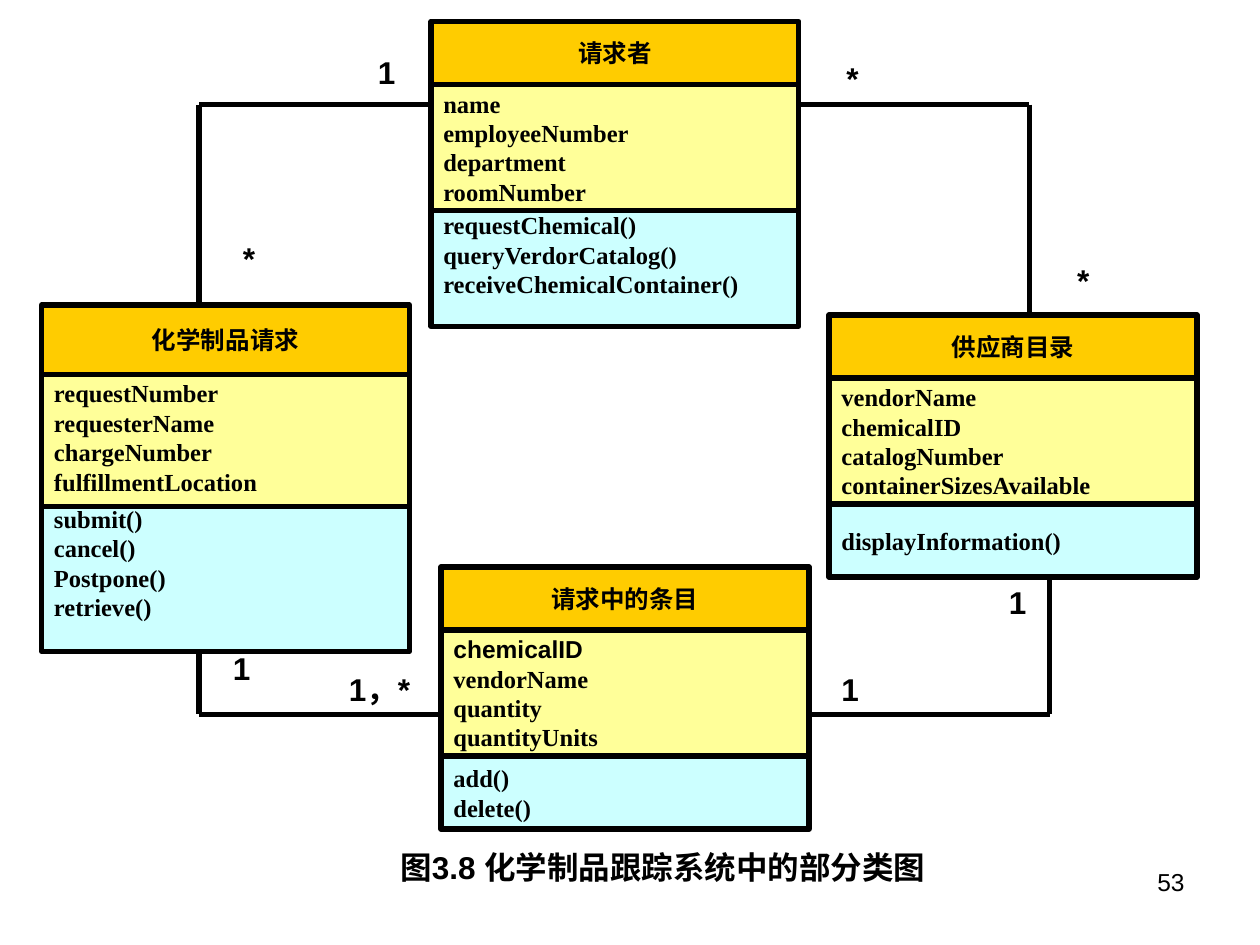
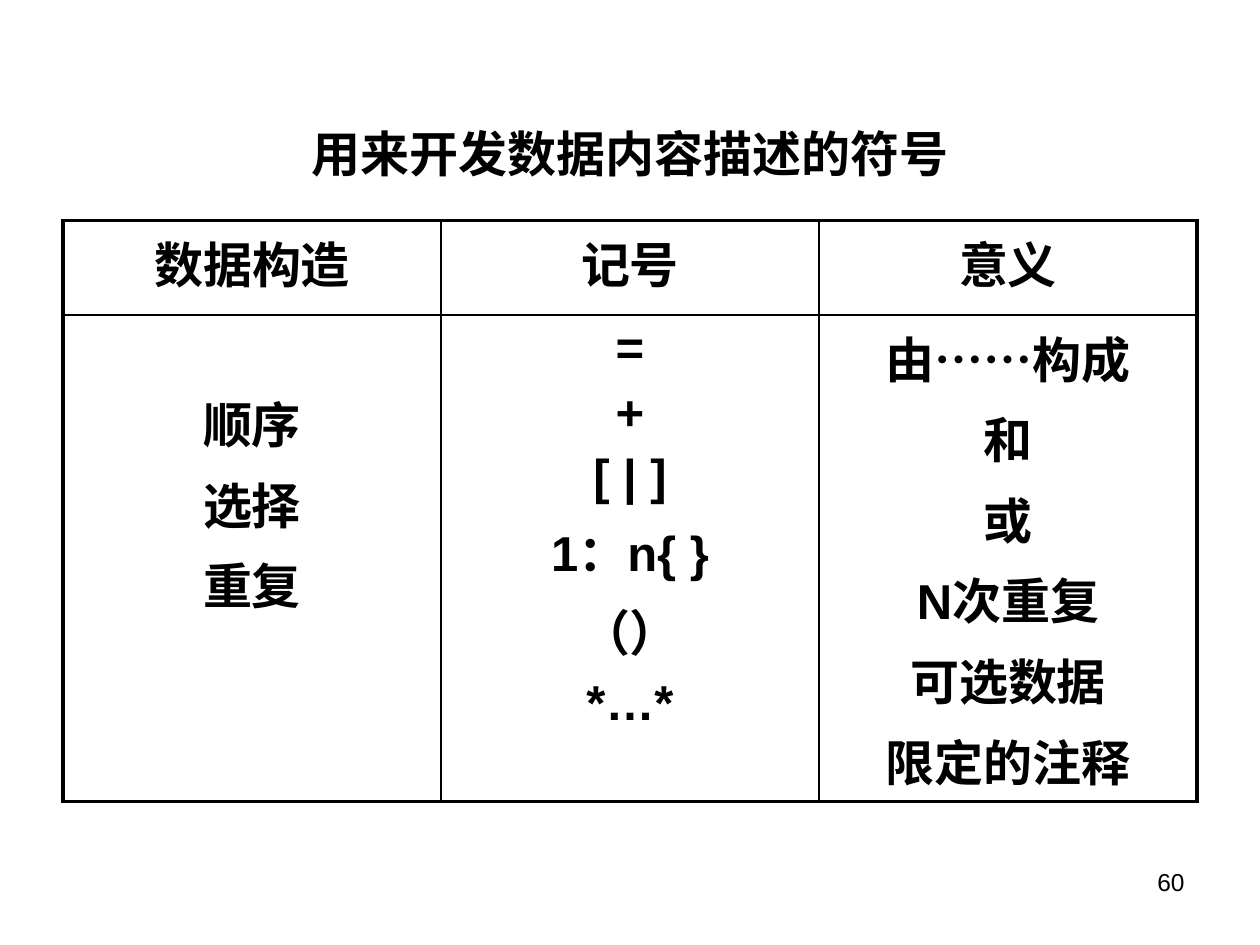
from itertools import pairwise

from lxml import etree
from pptx import Presentation
from pptx.dml.color import RGBColor
from pptx.enum.shapes import MSO_CONNECTOR, MSO_SHAPE
from pptx.enum.text import MSO_ANCHOR, PP_ALIGN
from pptx.oxml.ns import qn
from pptx.util import Inches, Pt

LINE, RECT = MSO_CONNECTOR.STRAIGHT, MSO_SHAPE.RECTANGLE
TOP, MIDDLE = MSO_ANCHOR.TOP, MSO_ANCHOR.MIDDLE
LEFT, CENTER, RIGHT = PP_ALIGN.LEFT, PP_ALIGN.CENTER, PP_ALIGN.RIGHT
SANS, SERIF = "Arial", "Times New Roman"
BLACK, WHITE = "000000", "FFFFFF"
GOLD, YELLOW, AQUA = "FFCC00", "FFFF99", "CCFFFF"
WIDE = 2.92
THICK, THIN = 2.25, 1

CLASSES = [
    (3.42, 0.17, (0.5, 1, 0.92), "请求者",
     ["name", "employeeNumber", "department", "roomNumber"],
     ["requestChemical()", "queryVerdorCatalog()", "receiveChemicalContainer()"], TOP),
    (6.58, 2.5, (0.5, 1, 0.58), "供应商目录",
     ["vendorName", "chemicalID", "catalogNumber", "containerSizesAvailable"],
     ["displayInformation()"], MIDDLE),
    (0.33, 2.42, (0.55, 1.1, 1.17), "化学制品请求",
     ["requestNumber", "requesterName", "chargeNumber", "fulfillmentLocation"],
     ["submit()", "cancel()", "Postpone()", "retrieve()"], TOP),
    (3.5, 4.5, (0.5, 1, 0.58), "请求中的条目",
     ["chemicalID", "vendorName", "quantity", "quantityUnits"],
     ["add()", "delete()"], MIDDLE),
]
LINKS = [
    [(3.42, 0.83), (1.58, 0.83), (1.58, 2.42)],
    [(1.58, 5.17), (1.58, 5.67), (3.5, 5.67)],
    [(6.33, 0.83), (8.17, 0.83), (8.17, 2.5)],
    [(6.42, 5.67), (8.33, 5.67), (8.33, 4.58)],
]
COUNTS = [
    ("1", 2.9, 0.37, 0.34), ("*", 1.83, 1.85, 0.3), ("*", 8.45, 2.02, 0.3),
    ("*", 6.62, 0.42, 0.3), ("1", 6.58, 5.27, 0.34), ("1", 7.91, 4.58, 0.34),
    ("1，*", 2.67, 5.27, 0.69), ("1", 1.75, 5.1, 0.34),
]
SYMBOLS = [
    ["数据构造", "记号", "意义"],
    ["顺序\n选择\n重复", "=\n+\n[ | ]\n1：n{ }\n（）\n*…*",
     "由……构成\n和\n或\nN次重复\n可选数据\n限定的注释"],
]


def paint(item, code):
    """Give a fill, line or font a solid colour."""
    if hasattr(item, "solid"):
        item.solid()
        item = item.fore_color
    else:
        item = item.color
    item.rgb = RGBColor.from_string(code)


def write(frame, text, size, face=SANS, bold=True, align=LEFT, gap=0):
    """Fill a text frame and format its runs."""
    frame.text = text
    frame.word_wrap = True
    for para in frame.paragraphs:
        para.alignment = align
        para.space_before = Pt(gap)
        for run in para.runs:
            run.font.size, run.font.name, run.font.bold = Pt(size), face, bold
            paint(run.font, BLACK)


def label(slide, text, box, size=18, **style):
    """Place a text box."""
    frame = slide.shapes.add_textbox(*map(Inches, box)).text_frame
    write(frame, text, size, **style)


def number(slide, text):
    """Place the page number."""
    label(slide, text, (7.17, 6.83, 2.33, 0.52), 14, bold=False, align=RIGHT)


def part(group, box, text, fill, align=LEFT, anchor=MIDDLE):
    """Draw one compartment of a class box."""
    shape = group.shapes.add_shape(RECT, *map(Inches, box))
    shape.shadow.inherit = False
    paint(shape.fill, fill)
    paint(shape.line, BLACK)
    shape.line.width = Pt(3)
    frame = shape.text_frame
    write(frame, text, 14, SERIF, align=align)
    frame.vertical_anchor = anchor
    if anchor == TOP:
        frame.margin_top = 0
    return shape


def entity(slide, left, top, heights, name, fields, calls, anchor):
    """Draw a class box and return its field compartment."""
    head, mid, low = heights
    base = {3.42: 1.67, 6.58: 4, 0.33: 4, 3.5: 6}[left]
    group = slide.shapes.add_group_shape()
    part(group, (left, base, WIDE, low), "\n".join(calls), AQUA, anchor=anchor)
    field = part(group, (left, top + 0.5, WIDE, mid), "\n".join(fields), YELLOW)
    part(group, (left, top, WIDE, head), name, GOLD, CENTER)
    return field


def link(slide, points):
    """Join points with straight lines."""
    for start, end in pairwise(points):
        line = slide.shapes.add_connector(LINE, *map(Inches, start + end))
        paint(line.line, BLACK)
        line.line.width = Pt(3)
        etree.SubElement(line._element.spPr, qn("a:effectLst"))


def edge(cell, widths):
    """Draw the left, right, top and bottom borders of a cell."""
    props = cell._tc.get_or_add_tcPr()
    for side, width in zip("LRTB", widths):
        line = etree.SubElement(props, qn(f"a:ln{side}"), w=str(Pt(width)))
        fill = etree.SubElement(line, qn("a:solidFill"))
        etree.SubElement(fill, qn("a:srgbClr"), val=BLACK)


def grid(slide, box, rows, heights):
    """Place the symbol table with a heavy outline."""
    tall, wide = len(rows), len(rows[0])
    table = slide.shapes.add_table(tall, wide, *map(Inches, box)).table
    table.first_row = table.horz_banding = False
    for i, (row, height) in enumerate(zip(rows, heights)):
        table.rows[i].height = Inches(height)
        for j, text in enumerate(row):
            cell = table.cell(i, j)
            write(cell.text_frame, text, 28, align=CENTER, gap=5.6)
            outer = (j == 0, j == wide - 1, i == 0, i == tall - 1)
            edge(cell, [THICK if far else THIN for far in outer])
            paint(cell.fill, WHITE)
    return table


def diagram(deck):
    """Build the class diagram slide."""
    slide = deck.slides.add_slide(deck.slide_layouts[6])
    label(slide, "图3.8 化学制品跟踪系统中的部分类图", (3.08, 6.68, 4.46, 0.4))
    fields = [entity(slide, *item) for item in CLASSES]
    fields[-1].text_frame.paragraphs[0].runs[0].font.name = SANS
    for points in LINKS:
        link(slide, points)
    for text, left, top, width in COUNTS:
        label(slide, text, (left, top, width, 0.4))
    number(slide, "53")


def notation(deck):
    """Build the symbol table slide."""
    slide = deck.slides.add_slide(deck.slide_layouts[5])
    title = slide.shapes.title
    title.left, title.top, title.width, title.height = map(Inches, (0.5, 0.92, 9, 0.58))
    write(title.text_frame, "用来开发数据内容描述的符号", 28, align=CENTER)
    title.text_frame.vertical_anchor = MIDDLE
    table = grid(slide, (0.5, 1.75, 9, 4.12), SYMBOLS, (0.75, 3.37))
    table.cell(1, 0).margin_top = Inches(0.57)
    number(slide, "60")


def main():
    """Build and save the deck."""
    deck = Presentation()
    deck.slide_width, deck.slide_height = Inches(10), Inches(7.5)
    diagram(deck)
    notation(deck)
    deck.save("out.pptx")


if __name__ == "__main__":
    main()
